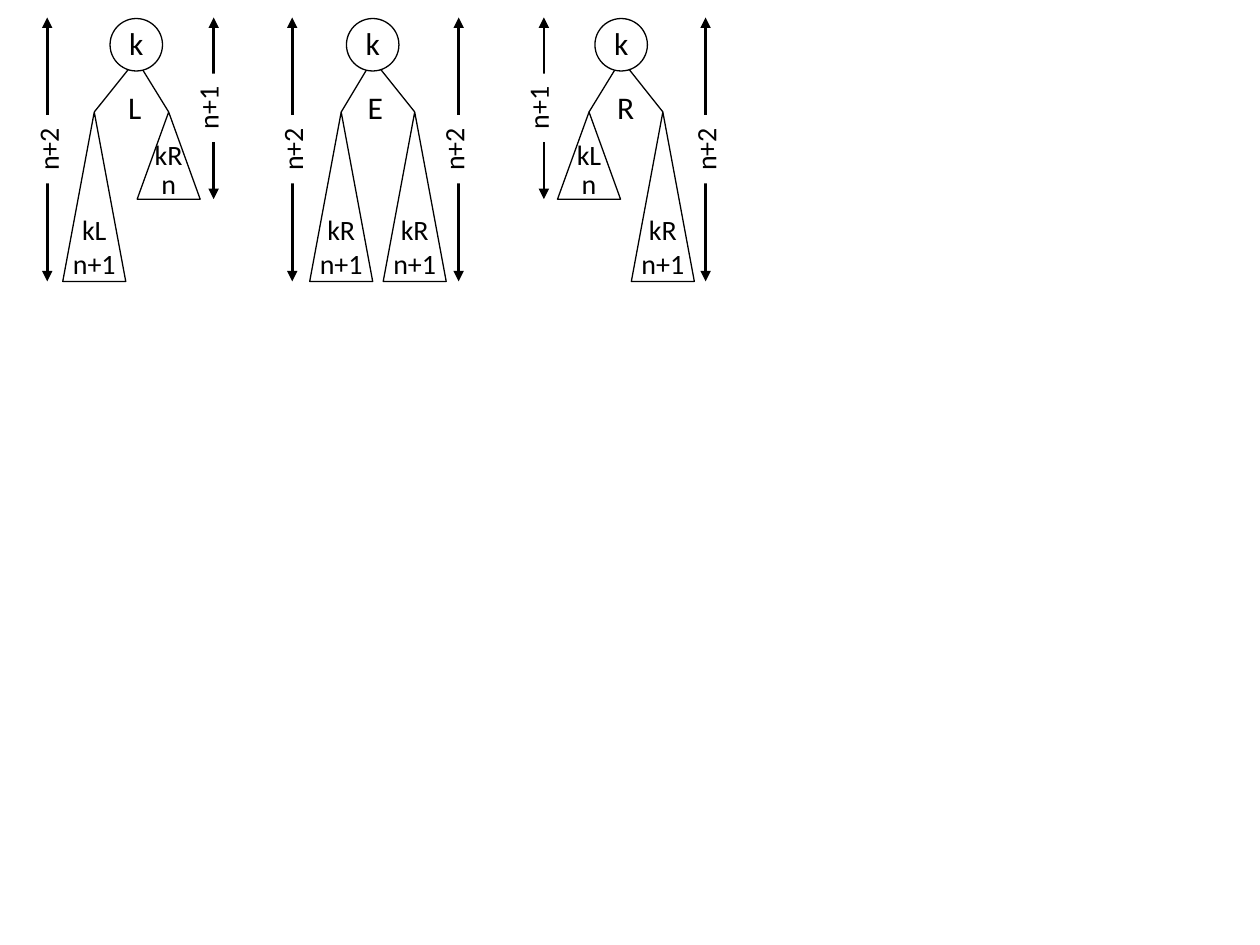
from pptx import Presentation
from pptx.dml.color import RGBColor
from pptx.enum.shapes import MSO_CONNECTOR, MSO_SHAPE
from pptx.enum.text import MSO_ANCHOR, MSO_AUTO_SIZE, PP_ALIGN
from pptx.oxml.ns import qn
from pptx.util import Pt
from lxml.etree import SubElement

# Content: subtrees are (name, height, apex x from root),
# measures are (height, arrow x from root, label x from arrow)
TREES = [
    {"root_x": 77.9, "balance": "L", "balance_x": 66.2,
     "subtrees": [("kL", "n+1", -24), ("kR", "n", 18.5)],
     "measures": [("n+2", -50.9, 0.4), ("n+1", 44.2, -3.4)]},
    {"root_x": 213, "balance": "E", "balance_x": 203,
     "subtrees": [("kR", "n+1", 24), ("kR", "n+1", -18)],
     "measures": [("n+2", -46, 0), ("n+2", 49.1, -2.9)]},
    {"root_x": 355, "balance": "R", "balance_x": 345.6,
     "subtrees": [("kR", "n+1", 23.8), ("kL", "n", -18.4)],
     "measures": [("n+2", 48.2, 0), ("n+1", -44.2, -3.4)]},
]
THEME = {"ink": RGBColor(0, 0, 0), "paper": RGBColor(255, 255, 255),
         "font": "Calibri", "node": 18, "label": 16, "thin": 0.75, "thick": 1.5}

# Geometry, in points
ROOT_TOP, ROOT_SIZE, ROOT_CENTRE = 10.6, 30, 34
APEX_Y, SUBTREE_W, TOP_Y = 64, 36, 10
BOTTOM = {"n+1": 160.8, "n": 113.8}
SUBTREE_TEXT = {"n+1": (118, 46), "n": (74.9, 44)}
MEASURE = {"n+2": (160.8, 85.3), "n+1": (113.8, 61.6)}
LABEL_W, LABEL_H = 39, 26.6

prs = Presentation()
prs.slide_width, prs.slide_height = Pt(720), Pt(540)
s = prs.slides.add_slide(prs.slide_layouts[6])


def write(sp, lines, size, align=PP_ALIGN.CENTER, wrap=True, last_spacing=None):
    tf = sp.text_frame
    frame = {"word_wrap": wrap, "auto_size": MSO_AUTO_SIZE.SHAPE_TO_FIT_TEXT,
             "vertical_anchor": MSO_ANCHOR.TOP}
    for name, value in frame.items():
        setattr(tf, name, value)
    for i, line in enumerate(lines):
        p = tf.paragraphs[0] if i == 0 else tf.add_paragraph()
        p.alignment = align
        r = p.add_run()
        r.text = line
        for name, value in {"name": THEME["font"], "size": Pt(size)}.items():
            setattr(r.font, name, value)
        r.font.color.rgb = THEME["ink"]
    if last_spacing:
        p.line_spacing = last_spacing


def add_text(x, y, w, h, lines, size, **options):
    sp = s.shapes.add_textbox(Pt(x), Pt(y), Pt(w), Pt(h))
    write(sp, lines, size, **options)


def add_outline(kind, x, y, w, h, filled=False, outlined=True):
    sp = s.shapes.add_shape(kind, Pt(x), Pt(y), Pt(w), Pt(h))
    sp.shadow.inherit = False
    if filled:
        sp.fill.solid()
        sp.fill.fore_color.rgb = THEME["paper"]
    else:
        sp.fill.background()
    if outlined:
        sp.line.color.rgb = THEME["ink"]
        sp.line.width = Pt(THEME["thin"])
    else:
        sp.line.fill.background()
    return sp


def add_line(x1, y1, x2, y2, width, arrows=False):
    cx = s.shapes.add_connector(MSO_CONNECTOR.STRAIGHT, Pt(x1), Pt(y1), Pt(x2), Pt(y2))
    cx.line.color.rgb = THEME["ink"]
    cx.line.width = Pt(width)
    if arrows:
        for end in ("a:headEnd", "a:tailEnd"):
            SubElement(cx.line._get_or_add_ln(), qn(end), type="triangle")
    SubElement(cx._element.spPr, qn("a:effectLst"))


for tree in TREES:
    root_x = tree["root_x"]

    # Balance letter
    add_text(tree["balance_x"], 46.8, 23, 29, [tree["balance"]], THEME["node"],
             align=PP_ALIGN.LEFT, wrap=False)

    # Height arrows with turned labels
    for text, dx, label_dx in tree["measures"]:
        x = root_x + dx
        bottom, middle = MEASURE[text]
        add_line(x, TOP_Y, x, bottom, THEME["thick"], arrows=True)
        label = add_outline(MSO_SHAPE.RECTANGLE, x + label_dx - LABEL_W / 2,
                            middle - LABEL_H / 2, LABEL_W, LABEL_H,
                            filled=True, outlined=False)
        label.rotation = 270
        write(label, [text], THEME["label"], wrap=False)

    # Branches, then the root over them
    for _, _, dx in tree["subtrees"]:
        add_line(root_x, ROOT_CENTRE, root_x + dx, APEX_Y, THEME["thin"])
    root_left = root_x - ROOT_SIZE / 2
    add_outline(MSO_SHAPE.OVAL, root_left, ROOT_TOP, ROOT_SIZE, ROOT_SIZE, filled=True)
    add_text(root_left, TOP_Y, ROOT_SIZE, 29, ["k"], THEME["node"])

    # Subtrees
    for name, height, dx in tree["subtrees"]:
        x = root_x + dx
        add_outline(MSO_SHAPE.ISOSCELES_TRIANGLE, x - SUBTREE_W / 2, APEX_Y,
                    SUBTREE_W, BOTTOM[height] - APEX_Y)
        text_y, text_h = SUBTREE_TEXT[height]
        add_text(x - 21, text_y, 42, text_h, [name, height], THEME["label"],
                 last_spacing=0.9 if height == "n" else None)

prs.save("out.pptx")
